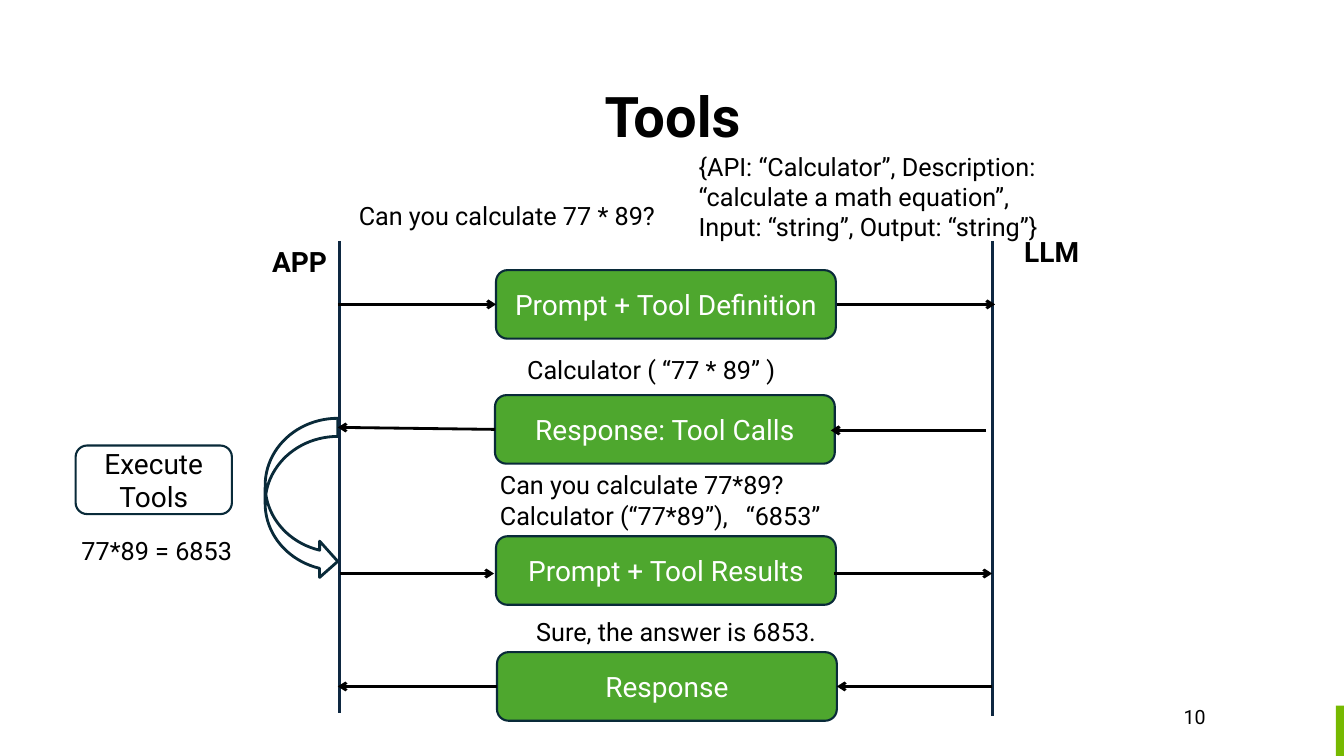
"""Draw the tool-calling sequence between an app and an LLM."""
from dataclasses import dataclass

from lxml import etree
from pptx import Presentation
from pptx.dml.color import RGBColor
from pptx.enum.shapes import MSO_CONNECTOR, MSO_SHAPE
from pptx.enum.text import MSO_ANCHOR, PP_ALIGN
from pptx.oxml.ns import qn
from pptx.shapes.autoshape import Shape
from pptx.slide import Slide
from pptx.util import Inches, Pt

RECT = MSO_SHAPE.RECTANGLE
ROUND = MSO_SHAPE.ROUNDED_RECTANGLE
CURVE = MSO_SHAPE.CURVED_RIGHT_ARROW
LINE = MSO_CONNECTOR.STRAIGHT
MIDDLE = MSO_ANCHOR.MIDDLE
TOP = MSO_ANCHOR.TOP
LEFT = PP_ALIGN.LEFT
CENTER = PP_ALIGN.CENTER

FONT = "Roboto"
BLACK, WHITE = "000000", "FFFFFF"
GREEN, EDGE, NAVY, LIME = "4EA72E", "092A39", "0E2841", "76B900"
BOX_W, BOX_H = 3.37, 0.68


@dataclass
class Label:
    text: str
    left: float
    top: float
    width: float
    height: float = 0.4
    size: int = 18
    bold: bool = False
    wrap: bool = True
    align: PP_ALIGN = LEFT
    anchor: MSO_ANCHOR = TOP
    inset: bool = True
    tab: float = 0


@dataclass
class Box:
    kind: MSO_SHAPE
    left: float
    top: float
    width: float
    height: float
    fill: str = ""
    edge: str = ""
    weight: float = 1.5
    text: str = ""
    ink: str = WHITE


@dataclass
class Link:
    x1: float
    y1: float
    x2: float
    y2: float
    hue: str = BLACK
    arrow: bool = True


STEPS = [
    ("Prompt + Tool Definition", 4.92, 2.68),
    ("Response: Tool Calls", 4.91, 3.92),
    ("Prompt + Tool Results", 4.92, 5.32),
    ("Response", 4.93, 6.47),
]
BOXES = [
    Box(RECT, 13.25, 7, 0.08, 0.5, LIME),
    *(Box(ROUND, left, top, BOX_W, BOX_H, GREEN, EDGE, text=text)
      for text, left, top in STEPS),
    Box(CURVE, 2.63, 4.15, 0.72, 1.6, edge=EDGE, weight=2),
    Box(ROUND, 0.75, 4.42, 1.55, BOX_H, edge=EDGE, text="Execute Tools", ink=BLACK),
]
LINKS = [
    Link(3.37, 2.39, 3.37, 7.07, NAVY, False),
    Link(9.84, 2.39, 9.84, 7.1, NAVY, False),
    Link(3.35, 3.02, 4.92, 3.02),
    Link(8.3, 3.02, 9.87, 3.02),
    Link(9.78, 4.27, 8.24, 4.27),
    Link(4.91, 4.26, 3.35, 4.24),
    Link(3.37, 5.69, 4.9, 5.69),
    Link(8.27, 5.69, 9.84, 5.69),
    Link(9.84, 6.81, 8.3, 6.81),
    Link(4.93, 6.81, 3.35, 6.81),
]
LABELS = [
    Label("Tools", 0.92, 0.42, 11.5, 1.45, 40, True, align=CENTER, anchor=MIDDLE),
    Label("APP", 2.6, 2.38, 0.76, 0.44, 20, True, False),
    Label("LLM", 10.06, 2.28, 0.78, 0.44, 20, True, False),
    Label("Can you calculate 77 * 89?", 3.46, 1.94, 3.45),
    Label("Calculator ( “77 * 89” )", 5.13, 3.47, 2.75),
    Label("77*89 = 6853", 0.71, 5.26, 2.75),
    Label("Sure, the answer is 6853.", 5.22, 6.07, 3.47),
    Label("Can you calculate 77*89? Calculator (“77*89”),\t“6853”",
          4.86, 4.61, 4.1, 0.71, tab=2.44),
    Label("{API: “Calculator”, Description: “calculate a math equation”, "
          "Input: “string”, Output: “string”}", 6.83, 1.45, 3.92, 1.01),
    Label("10", 11.74, 6.99, 0.27, 0.24, 14, inset=False),
]


def tint(code: str) -> RGBColor:
    return RGBColor.from_string(code)


def write(shape: Shape, text: str, size: int, ink: str,
          align: PP_ALIGN, bold: bool = False, tab: float = 0) -> None:
    para = shape.text_frame.paragraphs[0]
    para.alignment = align
    if tab:
        stops = etree.SubElement(para._p.get_or_add_pPr(), qn("a:tabLst"))
        etree.SubElement(stops, qn("a:tab"), pos=str(Inches(tab)), algn="l")
    run = para.add_run()
    run.text = text
    font = run.font
    font.name, font.size, font.bold = FONT, Pt(size), bold
    font.color.rgb = tint(ink)


def draw_box(slide: Slide, box: Box) -> None:
    shape = slide.shapes.add_shape(
        box.kind, Inches(box.left), Inches(box.top),
        Inches(box.width), Inches(box.height))
    shape.shadow.inherit = False
    if box.fill:
        shape.fill.solid()
        shape.fill.fore_color.rgb = tint(box.fill)
    else:
        shape.fill.background()
    if box.edge:
        shape.line.color.rgb = tint(box.edge)
        shape.line.width = Pt(box.weight)
    else:
        shape.line.fill.background()
    if box.text:
        shape.text_frame.word_wrap = True
        shape.text_frame.vertical_anchor = MIDDLE
        write(shape, box.text, 20, box.ink, CENTER)


def draw_link(slide: Slide, link: Link) -> None:
    line = slide.shapes.add_connector(
        LINE, Inches(link.x1), Inches(link.y1), Inches(link.x2), Inches(link.y2))
    line.line.color.rgb = tint(link.hue)
    line.line.width = Pt(2)
    if link.arrow:
        etree.SubElement(line.line._get_or_add_ln(), qn("a:tailEnd"), type="arrow")
    etree.SubElement(line._element.spPr, qn("a:effectLst"))


def draw_label(slide: Slide, label: Label) -> None:
    shape = slide.shapes.add_textbox(
        Inches(label.left), Inches(label.top),
        Inches(label.width), Inches(label.height))
    frame = shape.text_frame
    frame.word_wrap = label.wrap
    frame.vertical_anchor = label.anchor
    if not label.inset:
        frame.margin_left = frame.margin_right = 0
        frame.margin_top = frame.margin_bottom = 0
    write(shape, label.text, label.size, BLACK, label.align, label.bold, label.tab)


def main() -> None:
    deck = Presentation()
    deck.slide_width, deck.slide_height = Inches(13.33), Inches(7.5)
    slide = deck.slides.add_slide(deck.slide_layouts[6])
    for box in BOXES:
        draw_box(slide, box)
    for link in LINKS:
        draw_link(slide, link)
    for label in LABELS:
        draw_label(slide, label)
    deck.save("out.pptx")


if __name__ == "__main__":
    main()
